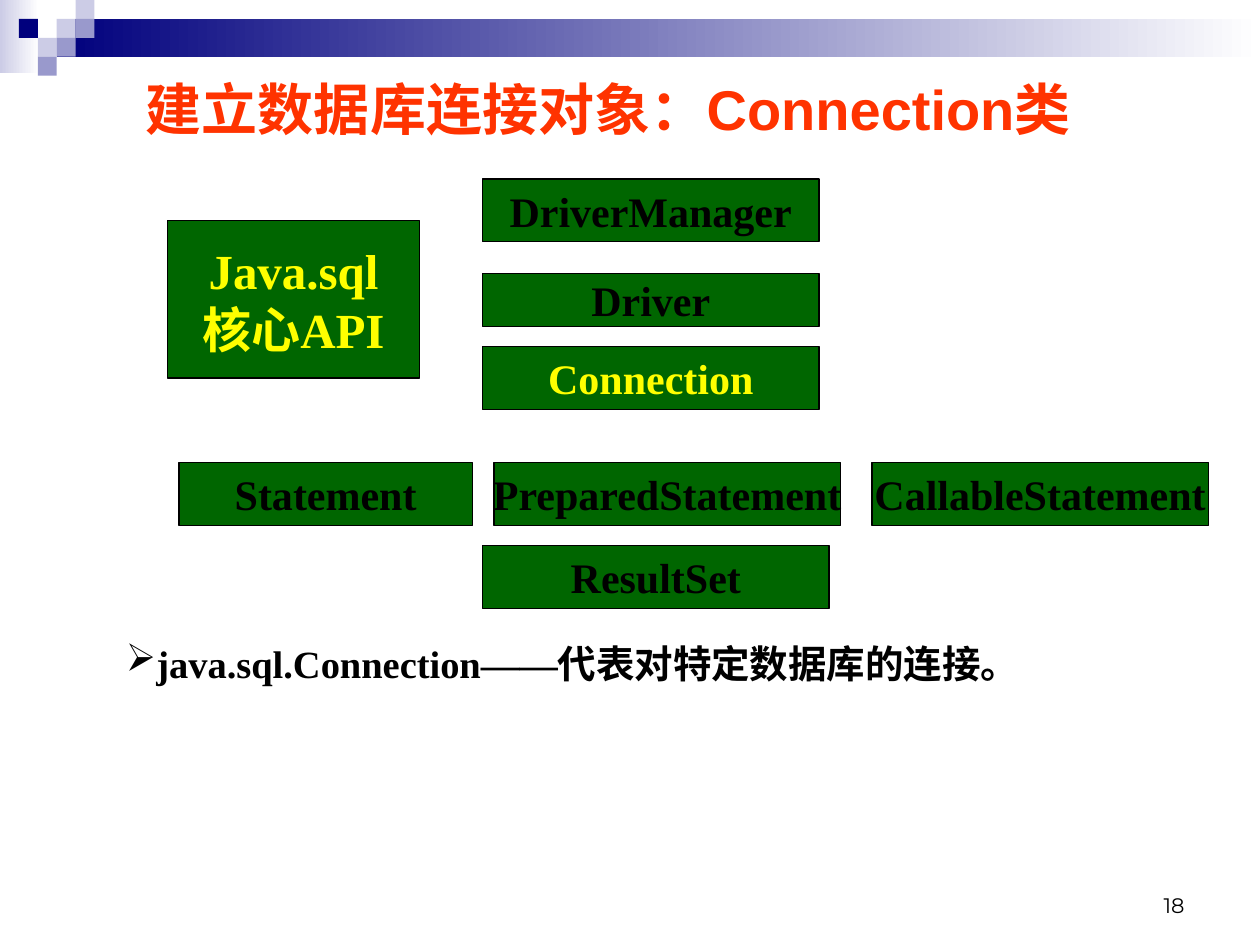
import dataclasses

import lxml.etree
import pptx
import pptx.dml.color
import pptx.enum.shapes
import pptx.enum.text
import pptx.oxml.ns
import pptx.util

Inches = pptx.util.Inches
RGB = pptx.dml.color.RGBColor.from_string
ALIGN = pptx.enum.text.PP_ALIGN
ANCHOR = pptx.enum.text.MSO_ANCHOR
RECTANGLE = pptx.enum.shapes.MSO_SHAPE.RECTANGLE


@dataclasses.dataclass(frozen=True)
class Theme:
    navy: str = "00007D"
    violet: str = "9999CC"
    lavender: str = "CCCCE6"
    white: str = "FFFFFF"
    black: str = "000000"
    heading: str = "FF3300"
    green: str = "006600"
    yellow: str = "FFFF00"
    title_size: int = 32
    package_size: int = 28
    class_size: int = 24
    body_size: int = 22
    number_size: int = 12
    title_font: str = "Arial"
    body_font: str = "Times New Roman"
    number_font: str = "Montserrat"


def apply(target, values):
    for name, value in values.items():
        setattr(target, name, value)


class SlideBuilder:
    def __init__(self, slide, theme):
        self.slide = slide
        self.theme = theme

    def rectangle(self, left, top, width, height):
        shape = self.slide.shapes.add_shape(
            RECTANGLE, Inches(left), Inches(top), Inches(width), Inches(height))
        shape.shadow.inherit = False
        return shape

    def solid(self, place, color):
        shape = self.rectangle(*place)
        shape.fill.solid()
        shape.fill.fore_color.rgb = RGB(color)
        shape.line.fill.background()
        return shape

    def fade(self, place, color):
        shape = self.rectangle(*place)
        shape.fill.gradient()
        shape.fill.gradient_angle = 0
        stops = zip(shape.fill.gradient_stops, (color, self.theme.white), (0, 1))
        for stop, stop_color, position in stops:
            stop.color.rgb = RGB(stop_color)
            stop.position = position
        shape.line.fill.background()

    def fill_text(self, shape, lines, font, color, frame=None, paragraph=None, bullet=None):
        apply(shape.text_frame, {"word_wrap": True, **(frame or {})})
        shape.text_frame.text = "\n".join(lines)
        for line in shape.text_frame.paragraphs:
            apply(line, paragraph or {})
            if bullet:
                mark = lxml.etree.SubElement(
                    line._p.get_or_add_pPr(), pptx.oxml.ns.qn("a:buChar"))
                mark.set("char", bullet)
            for run in line.runs:
                apply(run.font, font)
                run.font.color.rgb = RGB(color)

    def text(self, place, lines, font, color, **formats):
        box = self.slide.shapes.add_textbox(*map(Inches, place))
        self.fill_text(box, lines, font, color, **formats)

    def class_box(self, place, lines, color, size):
        shape = self.solid(place, self.theme.green)
        shape.line.color.rgb = RGB(self.theme.black)
        shape.line.width = pptx.util.Pt(0.75)
        font = {"name": self.theme.body_font, "size": pptx.util.Pt(size), "bold": True}
        self.fill_text(shape, lines, font, color,
                       frame={"word_wrap": False, "vertical_anchor": ANCHOR.MIDDLE},
                       paragraph={"alignment": ALIGN.CENTER})


def main():
    theme = Theme()
    presentation = pptx.Presentation()
    apply(presentation, {"slide_width": Inches(10), "slide_height": Inches(7.5)})
    builder = SlideBuilder(
        presentation.slides.add_slide(presentation.slide_layouts[6]), theme)

    builder.fade((0, 0, 0.31, 0.58), theme.lavender)
    builder.fade((0.45, 0.15, 9.55, 0.3), theme.navy)
    tile = 0.15
    mosaic = {
        theme.lavender: [(3, 1), (4, 0), (2, 2)],
        theme.violet: [(4, 1), (3, 2), (2, 3)],
        theme.navy: [(1, 1)],
    }
    for color, cells in mosaic.items():
        for column, row in cells:
            builder.solid((column * tile, row * tile, tile, tile), color)

    builder.text((7.17, 6.83, 2.33, 0.5), ["18"],
                 {"name": theme.number_font, "size": pptx.util.Pt(theme.number_size)},
                 theme.black, frame={"vertical_anchor": ANCHOR.BOTTOM},
                 paragraph={"alignment": ALIGN.RIGHT})
    builder.text((1.06, 0.44, 7.61, 0.9), ["建立数据库连接对象：Connection类"],
                 {"name": theme.title_font, "size": pptx.util.Pt(theme.title_size),
                  "bold": True},
                 theme.heading, frame={"vertical_anchor": ANCHOR.MIDDLE},
                 paragraph={"line_spacing": 0.9})
    builder.text((0.9, 5.01, 7.92, 0.49),
                 ["java.sql.Connection——代表对特定数据库的连接。"],
                 {"name": theme.body_font, "size": pptx.util.Pt(theme.body_size),
                  "bold": True},
                 theme.black, paragraph={"line_spacing": 1.05}, bullet="➢")

    classes = [
        ("DriverManager", 3.83, 1.42, 2.67, 0.5),
        ("Driver", 3.83, 2.17, 2.67, 0.42),
        ("Connection", 3.83, 2.75, 2.67, 0.5),
        ("PreparedStatement", 3.92, 3.67, 2.75, 0.5),
        ("Statement", 1.42, 3.67, 2.33, 0.5),
        ("CallableStatement", 6.92, 3.67, 2.67, 0.5),
        ("ResultSet", 3.83, 4.33, 2.75, 0.5),
    ]
    for name, *place in classes:
        color = theme.yellow if name == "Connection" else theme.black
        builder.class_box(place, [name], color, theme.class_size)
    builder.class_box((1.33, 1.75, 2, 1.25), ["Java.sql", "核心API"],
                      theme.yellow, theme.package_size)

    presentation.save("out.pptx")


if __name__ == "__main__":
    main()
